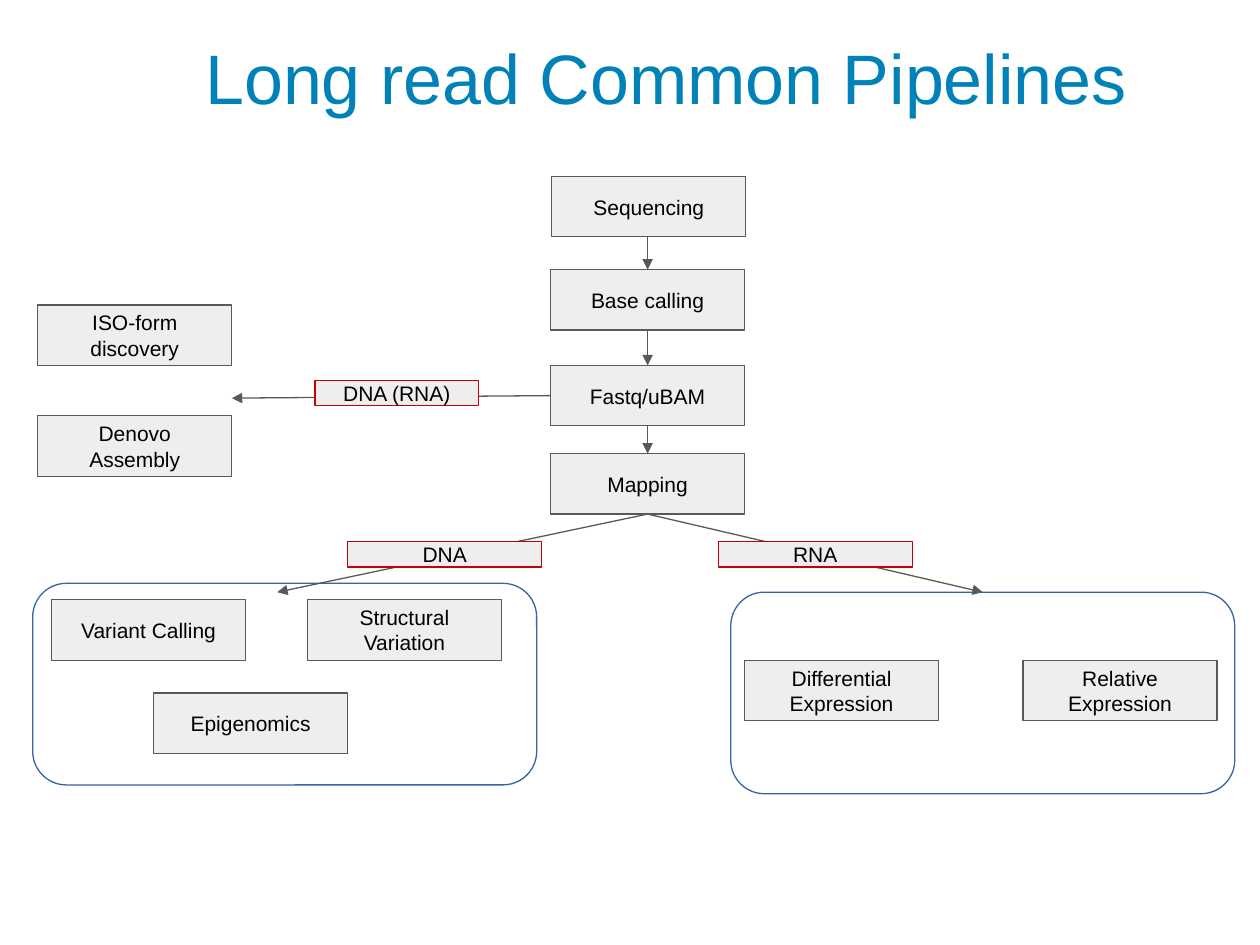
from pptx import Presentation, util as u
from pptx.dml.color import RGBColor
from pptx.enum import shapes, text
from pptx.oxml.ns import qn
from lxml import etree

W, H = 10, 7.5
BOX_W, BOX_H, TAG_H = 1.54, 0.48, 0.2
GROUP_W, GROUP_H = 4, 1.6
LEFT, MAIN = 0.3, 4.37
MID = MAIN + BOX_W / 2
BASE_Y, FASTQ_Y, MAP_Y = 2.14, 2.9, 3.6
DNA_Y, RNA_Y, TAG_Y = 4.76, 5.24, 4.3
DNA_GROUP, RNA_GROUP = (0.26, 4.63), (5.8, 4.7)

TITLE = "Long read Common Pipelines"
STEPS = [
    (["Sequencing"], MAIN + 0.01, 1.4),
    (["Base calling"], MAIN, BASE_Y),
    (["Fastq/uBAM"], MAIN, FASTQ_Y),
    (["Mapping"], MAIN, MAP_Y),
    (["ISO-form discovery"], LEFT, 2.42),
    (["Denovo", "Assembly"], LEFT, 3.3),
    (["Variant Calling"], 0.41, DNA_Y),
    (["Structural Variation"], 2.44, DNA_Y),
    (["Epigenomics"], 1.22, 5.5),
    (["Differential Expression"], 5.91, RNA_Y),
    (["Relative Expression"], 8.12, RNA_Y),
]
TAGS = [("DNA", 2.76, TAG_Y, BOX_W), ("RNA", 5.7, TAG_Y, BOX_W),
        ("DNA (RNA)", 2.5, 3.02, 1.3)]
ARROWS = [
    (MID, 1.88, MID, BASE_Y),
    (MID, BASE_Y + BOX_H, MID, FASTQ_Y),
    (MID, FASTQ_Y + BOX_H, MID, MAP_Y),
    (MID, MAP_Y + BOX_H, 2.2, RNA_GROUP[1]),
    (MID, MAP_Y + BOX_H, RNA_GROUP[0] + GROUP_W / 2, RNA_GROUP[1]),
    (MAIN, FASTQ_Y + BOX_H / 2, LEFT + BOX_W, 3.16),
]


def rgb(value):
    return RGBColor.from_string(value)


def write(sp, lines, size, color, inset):
    tf = sp.text_frame
    tf.word_wrap = True
    tf.vertical_anchor = text.MSO_ANCHOR.MIDDLE
    tf.margin_left = tf.margin_right = u.Inches(0.1)
    tf.margin_top = tf.margin_bottom = u.Inches(inset)
    for i, line in enumerate(lines):
        p = tf.add_paragraph() if i else tf.paragraphs[0]
        p.alignment = text.PP_ALIGN.CENTER
        r = p.add_run()
        r.text = line
        r.font.name, r.font.size = "Arial", u.Pt(size)
        r.font.color.rgb = rgb(color)


def add_box(s, kind, x, y, w, h, line, fill=None):
    sp = s.shapes.add_shape(kind, *map(u.Inches, (x, y, w, h)))
    sp.shadow.inherit = False
    if fill:
        sp.fill.solid()
        sp.fill.fore_color.rgb = rgb(fill)
    else:
        sp.fill.background()
    sp.line.color.rgb, sp.line.width = rgb(line), u.Pt(0.75)
    return sp


def add_arrow(s, points):
    c = s.shapes.add_connector(shapes.MSO_CONNECTOR.STRAIGHT, *map(u.Inches, points))
    c.line.color.rgb, c.line.width = rgb("595959"), u.Pt(0.75)
    etree.SubElement(c.line._get_or_add_ln(), qn("a:tailEnd"), type="triangle")
    etree.SubElement(c._element.spPr, qn("a:effectLst"))


def main():
    prs = Presentation()
    prs.slide_width, prs.slide_height = u.Inches(W), u.Inches(H)
    s = prs.slides.add_slide(prs.slide_layouts[6])
    rect = shapes.MSO_SHAPE.RECTANGLE

    for x, y in (RNA_GROUP, DNA_GROUP):
        add_box(s, shapes.MSO_SHAPE.ROUNDED_RECTANGLE, x, y, GROUP_W, GROUP_H, "3465A4")
    title = s.shapes.add_textbox(*map(u.Inches, (LEFT, 0.27, 9.97, 0.67)))
    write(title, [TITLE], 40, "0082B9", 0.05)
    for points in ARROWS:
        add_arrow(s, points)
    for lines, x, y in STEPS:
        sp = add_box(s, rect, x, y, BOX_W, BOX_H, "595959", "EEEEEE")
        write(sp, lines, 12, "000000", 0.1)
    for label, x, y, w in TAGS:
        sp = add_box(s, rect, x, y, w, TAG_H, "C5000B", "EEEEEE")
        write(sp, [label], 12, "000000", 0.1)
    prs.save("out.pptx")


if __name__ == "__main__":
    main()
